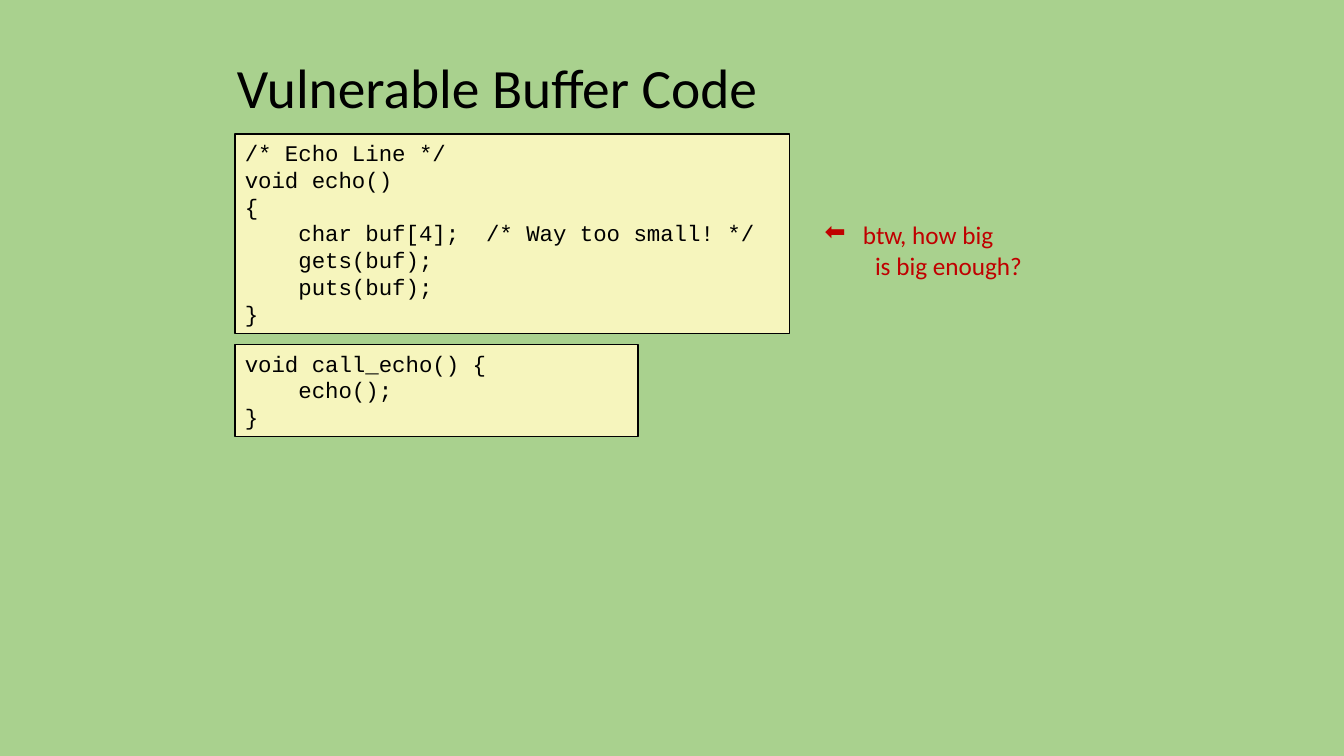
from dataclasses import dataclass

from lxml.etree import SubElement
from pptx import Presentation
from pptx.dml.color import RGBColor
from pptx.enum.shapes import MSO_SHAPE
from pptx.enum.text import MSO_ANCHOR, MSO_AUTO_SIZE, PP_ALIGN
from pptx.oxml.ns import qn
from pptx.util import Inches, Pt


@dataclass(frozen=True)
class Theme:
    """Colours, fonts and type sizes of the slide."""

    background: RGBColor = RGBColor.from_string("A9D18E")
    panel: RGBColor = RGBColor.from_string("F6F5BD")
    ink: RGBColor = RGBColor.from_string("000000")
    accent: RGBColor = RGBColor.from_string("C00000")
    sans: str = "Calibri"
    mono: str = "Courier New"
    title_size: float = 39.6
    code_size: float = 16
    remark_size: float = 18


class SlideBuilder:
    """Holds the theme and the current slide and adds styled elements."""

    def __init__(self, slide, theme):
        """Take the slide and paint its background."""
        self.slide, self.theme = slide, theme
        slide.background.fill.solid()
        slide.background.fill.fore_color.rgb = theme.background

    def set_text(self, shape, lines, color, frame_format, **font_format):
        """Set one left-aligned paragraph per line."""
        frame = shape.text_frame
        for name, value in frame_format.items():
            setattr(frame, name, value)
        frame.text = "\n".join(lines)
        for paragraph in frame.paragraphs:
            paragraph.alignment = PP_ALIGN.LEFT
            for run in paragraph.runs:
                for name, value in font_format.items():
                    setattr(run.font, name, value)
                run.font.color.rgb = color
        return frame.paragraphs

    def title(self, heading, *box):
        """Add the heading of the slide."""
        shape = self.slide.shapes.add_textbox(*map(Inches, box))
        frame_format = {"word_wrap": True, "vertical_anchor": MSO_ANCHOR.MIDDLE}
        paragraphs = self.set_text(shape, [heading], self.theme.ink, frame_format,
                                   name=self.theme.sans, size=Pt(self.theme.title_size))
        paragraphs[0].line_spacing = 0.9

    def code(self, lines, *box):
        """Add a bordered panel with a code listing."""
        panel = self.slide.shapes.add_shape(MSO_SHAPE.RECTANGLE, *map(Inches, box))
        panel.shadow.inherit = False
        panel.fill.solid()
        panel.fill.fore_color.rgb = self.theme.panel
        panel.line.color.rgb = self.theme.ink
        panel.line.width = Pt(1)
        frame_format = {"word_wrap": True, "vertical_anchor": MSO_ANCHOR.TOP,
                        "auto_size": MSO_AUTO_SIZE.SHAPE_TO_FIT_TEXT}
        self.set_text(panel, lines, self.theme.ink, frame_format,
                      name=self.theme.mono, size=Pt(self.theme.code_size))

    def remark(self, lines, bullet, *box):
        """Add a side remark whose first line has a hanging bullet."""
        shape = self.slide.shapes.add_textbox(*map(Inches, box))
        frame_format = {"word_wrap": False, "auto_size": MSO_AUTO_SIZE.SHAPE_TO_FIT_TEXT}
        paragraphs = self.set_text(shape, lines, self.theme.accent, frame_format,
                                   name=self.theme.sans, size=Pt(self.theme.remark_size))
        properties = paragraphs[0]._p.get_or_add_pPr()
        hanging = Inches(0.38)
        for name, value in {"marL": hanging, "indent": -hanging}.items():
            properties.set(name, str(value))
        SubElement(properties, qn("a:buChar")).set("char", bullet)


def main():
    """Build and save the slide."""
    deck = Presentation()
    deck.slide_width, deck.slide_height = Inches(13.33), Inches(7.5)
    builder = SlideBuilder(deck.slides.add_slide(deck.slide_layouts[6]), Theme())

    echo = [
        "/* Echo Line */",
        "void echo()",
        "{",
        "    char buf[4];  /* Way too small! */",
        "    gets(buf);",
        "    puts(buf);",
        "}",
    ]
    call_echo = ["void call_echo() {", "    echo();", "}"]

    code_left = 2.33
    builder.title("Vulnerable Buffer Code", 2.25, 0.58, 7.01, 0.63)
    builder.code(call_echo, code_left, 3.42, 4, 0.91)
    builder.code(echo, code_left, 1.33, 5.5, 1.98)
    builder.remark(["btw, how big", "\tis big enough?"], "⬅", 8.08, 2.13, 2.69, 0.71)
    deck.save("out.pptx")


if __name__ == "__main__":
    main()
